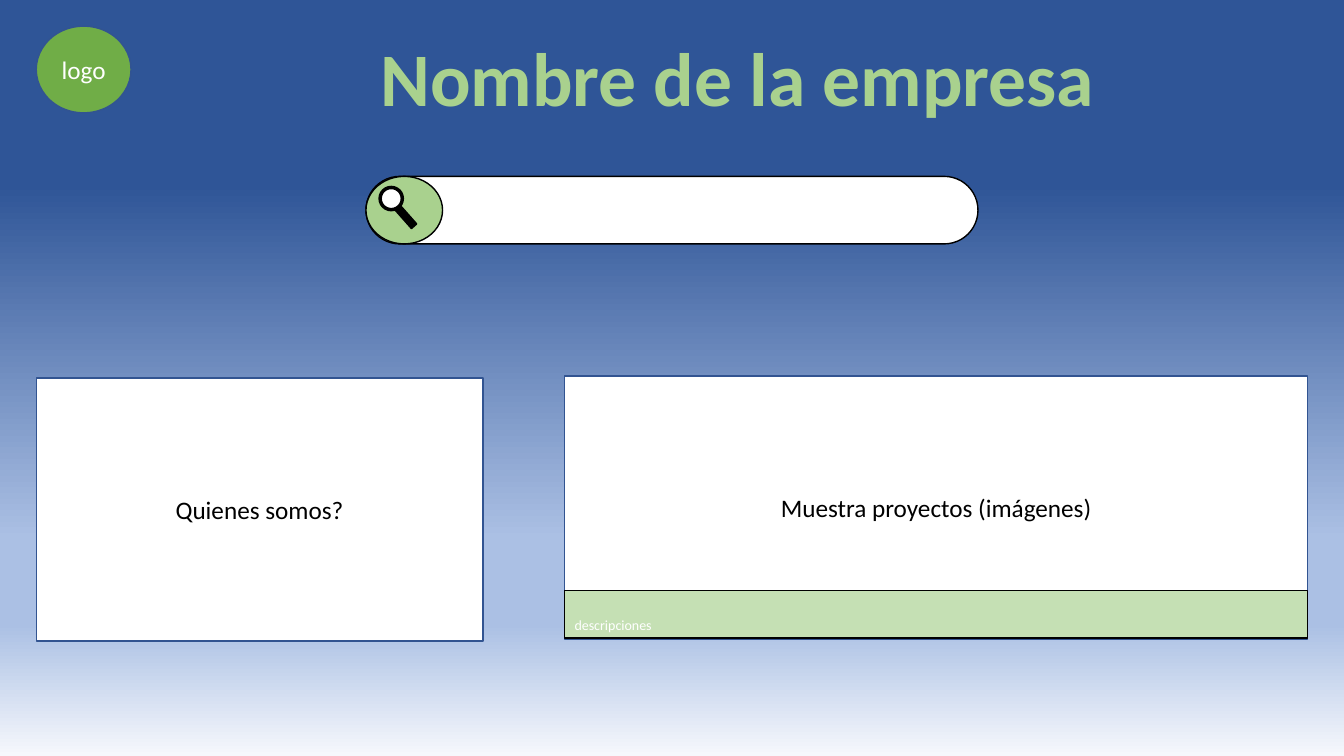
from lxml import etree
from pptx import Presentation
from pptx.dml.color import RGBColor
from pptx.enum.shapes import MSO_SHAPE as Preset
from pptx.enum.text import MSO_ANCHOR as Anchor, PP_ALIGN as Align
from pptx.oxml.ns import qn
from pptx.util import Inches, Pt


def rgb(value):
    return RGBColor.from_string(value)


def add_block(preset, box, fill, line=None, weight=1):
    block = slide.shapes.add_shape(preset, *[Inches(n) for n in box])
    block.shadow.inherit = False
    block.fill.solid()
    block.fill.fore_color.rgb = rgb(fill)
    if line:
        block.line.color.rgb = rgb(line)
        block.line.width = Pt(weight)
    else:
        block.line.fill.background()
    return block


prs = Presentation()
prs.slide_width = Inches(13.33)
prs.slide_height = Inches(7.5)
slide = prs.slides.add_slide(prs.slide_layouts[5])

backdrop = add_block(Preset.RECTANGLE, (0, 1.83, 13.33, 5.67), "2F5597")
backdrop.fill.gradient()
backdrop.fill.gradient_angle = 90
stops = backdrop.element.spPr.find(qn("a:gradFill")).find(qn("a:gsLst"))
for stop in list(stops):
    stops.remove(stop)
for percent, color in [(0, "F6F8FC"), (23, "ABC0E4"), (38, "ABC0E4"), (100, "2F5597")]:
    stop = etree.SubElement(stops, qn("a:gs"), pos=str(percent * 1000))
    etree.SubElement(stop, qn("a:srgbClr"), val=color)

add_block(Preset.RECTANGLE, (0, 0, 13.33, 1.83), "2F5597", "2F5597")

panels = [
    ("logo", Preset.OVAL, (0.36, 0.26, 0.94, 0.86), "70AD47", "325491",
     18, "FFFFFF", Align.CENTER, Anchor.MIDDLE),
    ("Muestra proyectos (imágenes)", Preset.RECTANGLE, (5.6, 3.73, 7.37, 2.61), "FFFFFF", "325491",
     18, "000000", Align.CENTER, Anchor.MIDDLE),
    ("Quienes somos?", Preset.RECTANGLE, (0.36, 3.75, 4.43, 2.61), "FFFFFF", "325491",
     18, "000000", Align.CENTER, Anchor.MIDDLE),
    ("descripciones", Preset.RECTANGLE, (5.6, 5.86, 7.37, 0.47), "C5E0B4", "000000",
     10, "FFFFFF", Align.LEFT, Anchor.BOTTOM),
]
for label, preset, box, fill, line, size, color, align, anchor in panels:
    frame = add_block(preset, box, fill, line).text_frame
    frame.text = label
    frame.vertical_anchor = anchor
    paragraph = frame.paragraphs[0]
    paragraph.alignment = align
    paragraph.font.name = "Calibri"
    paragraph.font.size = Pt(size)
    paragraph.font.color.rgb = rgb(color)

company = slide.shapes.title
company.left, company.top = Inches(3.64), Inches(0.26)
company.width, company.height = Inches(7.35), Inches(1.01)
company.text_frame.text = "Nombre de la empresa"
company.text_frame.word_wrap = False
company.text_frame.vertical_anchor = Anchor.TOP
heading = company.text_frame.paragraphs[0]
heading.alignment = Align.CENTER
heading.font.name = "Calibri"
heading.font.size = Pt(54)
heading.font.bold = True
heading.font.color.rgb = rgb("A9D18E")
slide.shapes.element.append(company.element)

search_bar = add_block(Preset.ROUNDED_RECTANGLE, (3.63, 1.75, 6.07, 0.67), "FFFFFF", "000000")
search_bar.adjustments[0] = 0.5
add_block(Preset.OVAL, (3.63, 1.75, 0.76, 0.67), "A9D18E", "000000")
handle = add_block(Preset.RECTANGLE, (3.98, 2, 0.07, 0.28), "000000", "000000")
handle.rotation = 318.5
add_block(Preset.OVAL, (3.77, 1.86, 0.22, 0.22), "FFFFFF", "000000", 2.5)

prs.save("out.pptx")
